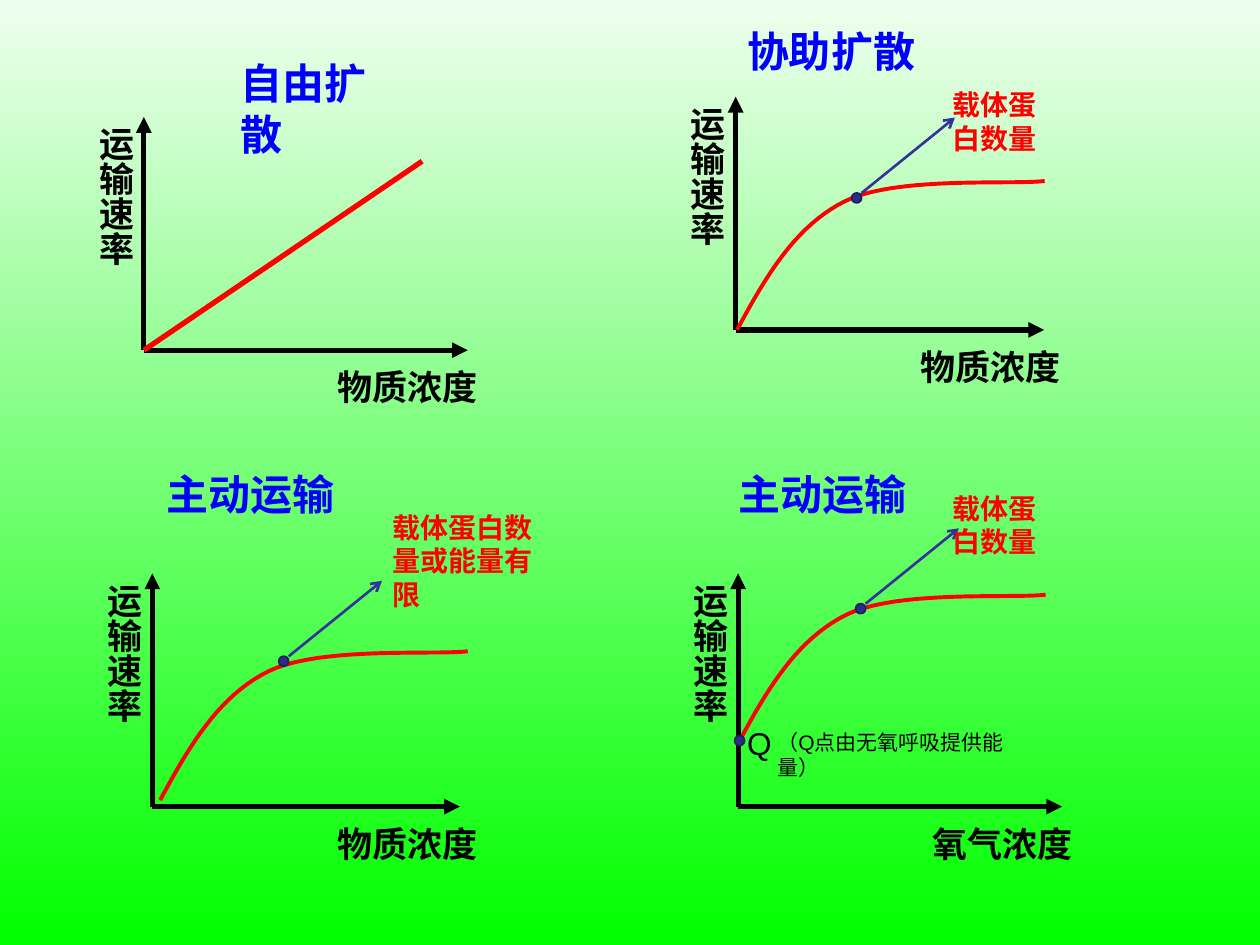
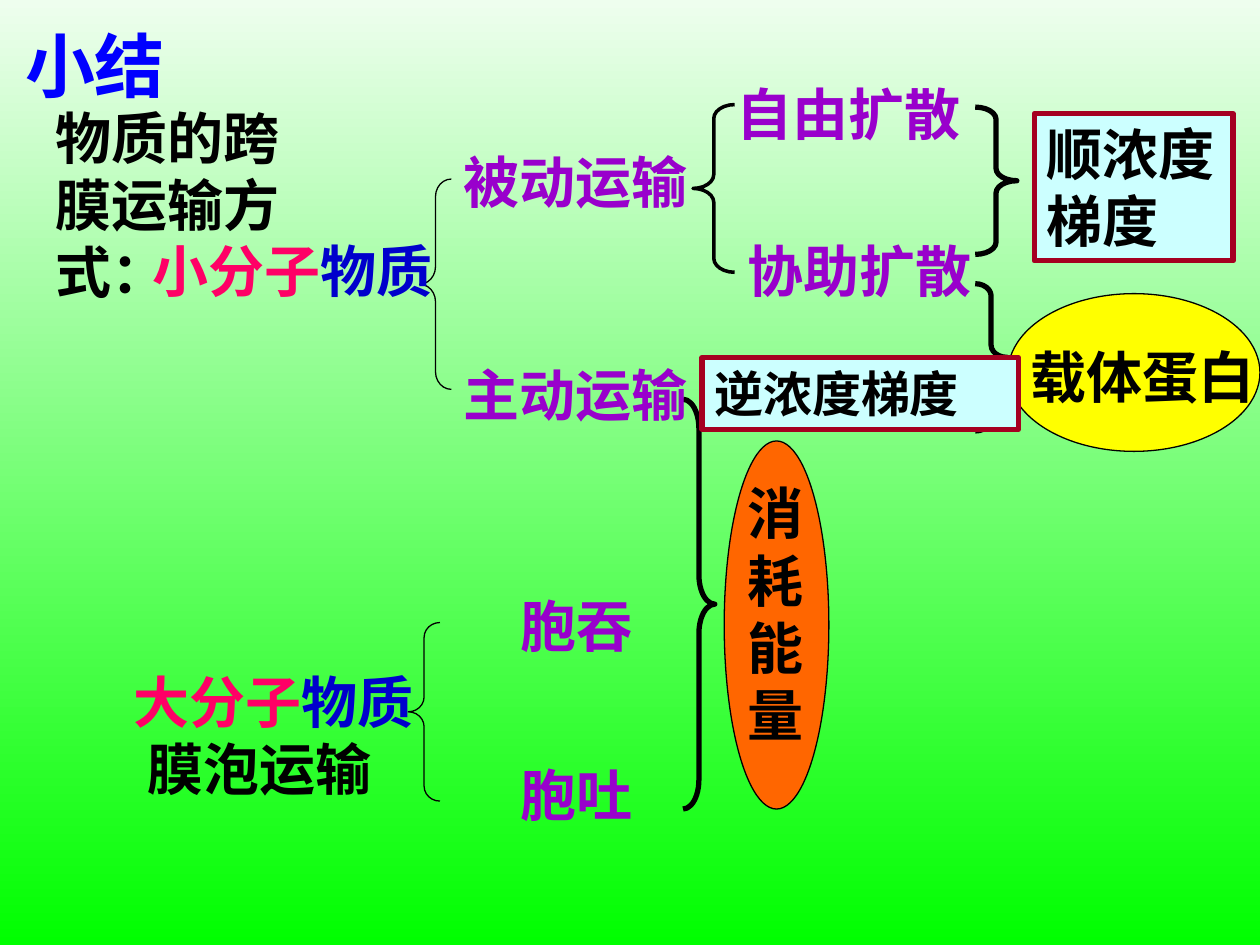
"""Builds two slides on membrane transport: rate graphs and a summary."""
from dataclasses import dataclass
from pptx import Presentation
from pptx.dml.color import RGBColor
from pptx.enum.shapes import MSO_CONNECTOR, MSO_SHAPE
from pptx.enum.text import MSO_ANCHOR, MSO_AUTO_SIZE, PP_ALIGN
from pptx.oxml.ns import qn
from pptx.util import Cm, Pt


@dataclass(frozen=True)
class Theme:
    sans: str = "Arial"
    serif: str = "Times New Roman"
    pale: str = "EEFEEE"
    green: str = "00FF00"
    black: str = "000000"
    blue: str = "0000FF"
    navy: str = "0000CC"
    red: str = "FF0000"
    pink: str = "FF0066"
    violet: str = "9900CC"
    indigo: str = "333399"
    dot: str = "2D2D89"
    rim: str = "1E1E63"
    orange: str = "FF6600"
    yellow: str = "FFFF00"
    cyan: str = "CCFFFF"
    wine: str = "A50021"
    banner: int = 40
    label: int = 32
    boxed: int = 28
    head: int = 24
    axis: int = 20
    note: int = 16
    mark: int = 18
    small: int = 12


theme = Theme()
rgb = RGBColor.from_string


def write(shape, parts, size, font=theme.sans, bold=True, wrap=True):
    frame = shape.text_frame
    frame.word_wrap = wrap
    frame.auto_size = MSO_AUTO_SIZE.SHAPE_TO_FIT_TEXT
    frame.vertical_anchor = MSO_ANCHOR.TOP
    para = frame.paragraphs[0]
    para.alignment = PP_ALIGN.LEFT
    para.font.name, para.font.size, para.font.bold = font, Pt(size), bold
    if len(parts) == 1:
        para.font.color.rgb = rgb(parts[0][1])
    for words, color in parts:
        run = para.add_run()
        run.text = words
        if len(parts) > 1:
            run.font.color.rgb = rgb(color)


def draw(slide, start, end, color, width, tip=None):
    line = slide.shapes.add_connector(
        MSO_CONNECTOR.STRAIGHT, *map(Cm, start), *map(Cm, end))
    line.line.color.rgb = rgb(color)
    line.line.width = Pt(width)
    props = line.element.spPr
    if tip:
        tail = props.find(qn("a:ln")).makeelement(qn("a:tailEnd"), {"type": tip})
        props.find(qn("a:ln")).append(tail)
    props.append(props.makeelement(qn("a:effectLst"), {}))


deck = Presentation()
deck.slide_width, deck.slide_height = Cm(25.4), Cm(19.05)
back = deck.slide_master.background.fill
back.gradient()
back.gradient_angle = 270
for stop, color in zip(back.gradient_stops, (theme.pale, theme.green)):
    stop.color.rgb = rgb(color)
graphs, recap = [deck.slides.add_slide(deck.slide_layouts[5]) for _ in range(2)]

plots = [
    ("自由扩散", (4.6, 1.04), (2.9, 7.06), 6.53, "物质浓度", 6.55),
    ("协助扩散", (14.81, 0.38), (14.83, 6.65), 6.22, "物质浓度", 18.31),
    ("主动运输", (3.1, 9.32), (3.07, 16.26), 6.2, "物质浓度", 6.55),
    ("主动运输", (14.63, 9.32), (14.88, 16.26), 6.53, "氧气浓度", 18.54),
]
for name, place, (x, y), width, unit, left in plots:
    draw(graphs, (x, y), (x, y - 4.7), theme.black, 3, "triangle")
    draw(graphs, (x, y), (x + width, y), theme.black, 3, "triangle")
    rate = graphs.shapes.add_textbox(Cm(x - 1.37), Cm(y - 4.75), Cm(1.35), Cm(3.1))
    write(rate, [("运输速率", theme.black)], theme.axis, wrap=False)
    rate.element.txBody.bodyPr.set("vert", "eaVert")
    frame = rate.text_frame
    frame.margin_left = frame.margin_right = Cm(0.13)
    frame.margin_top = frame.margin_bottom = Cm(0.25)
    base = graphs.shapes.add_textbox(Cm(left), Cm(y + 0.19), Cm(3.33), Cm(1.12))
    write(base, [(unit, theme.black)], theme.axis, wrap=False)
    if name == "自由扩散":
        head = graphs.shapes.title
        head.left, head.top, head.width, head.height = map(Cm, (*place, 3.89, 1.27))
    else:
        head = graphs.shapes.add_textbox(*map(Cm, (*place, 3.89, 1.27)))
    write(head, [(name, theme.blue)], theme.head, wrap=False)

draw(graphs, (2.9, 7.06), (8.51, 3.25), theme.red, 3)

bends = [
    ((0, 0), (0.57, -1.06), (1.17, -2.1), (2.19, -2.6)),
    ((2.19, -2.6), (3.22, -3.1), (5.52, -2.92), (6.2, -3)),
]
steps = 20
trace = []
for bend in bends:
    for step in range(1, steps + 1):
        t = step / steps
        weights = ((1 - t) ** 3, 3 * t * (1 - t) ** 2, 3 * t * t * (1 - t), t ** 3)
        trace.append([sum(w * p[axis] for w, p in zip(weights, bend)) for axis in (0, 1)])

curves = [
    ((14.86, 6.65), (17.37, 3.89), "载体蛋白数量", (18.95, 1.65, 2.72, 1.63)),
    ((3.23, 16.13), (5.82, 13.23), "载体蛋白数量或能量有限", (7.67, 10.16, 3.68, 2.29)),
    ((14.88, 14.99), (17.45, 12.17), "载体蛋白数量", (18.95, 9.78, 2.44, 1.63)),
]
dots = [(14.81, 14.83)]
for (x, y), (tipx, tipy), words, area in curves:
    path = graphs.shapes.build_freeform(Cm(x), Cm(y))
    path.add_line_segments([(Cm(x + dx), Cm(y + dy)) for dx, dy in trace], close=False)
    curve = path.convert_to_shape()
    curve.shadow.inherit = False
    curve.fill.background()
    curve.line.color.rgb = rgb(theme.red)
    curve.line.width = Pt(2.25)
    draw(graphs, (tipx, tipy), (tipx + 1.88, tipy - 1.52), theme.indigo, 1.5, "arrow")
    write(graphs.shapes.add_textbox(*map(Cm, area)), [(words, theme.red)], theme.note)
    dots.append((tipx - 0.2, tipy))

for words, size, area in [
    ("（Q点由无氧呼吸提供能量）", theme.small, (15.42, 14.58, 5.64, 1.27)),
    ("Q", theme.mark, (14.81, 14.48, 1.09, 1.02)),
]:
    box = graphs.shapes.add_textbox(*map(Cm, area))
    write(box, [(words, theme.black)], size, bold=False)

for x, y in dots:
    dot = graphs.shapes.add_shape(MSO_SHAPE.OVAL, Cm(x), Cm(y), Cm(0.2), Cm(0.2))
    dot.shadow.inherit = False
    dot.fill.solid()
    dot.fill.fore_color.rgb = rgb(theme.dot)
    dot.line.color.rgb = rgb(theme.rim)
    dot.line.width = Pt(1)

title = recap.shapes.title
title.left, title.top, title.width, title.height = map(Cm, (0.25, 0.33, 3.33, 1.96))
write(title, [("小结", theme.blue)], theme.banner, wrap=False)

braces = [
    (MSO_SHAPE.LEFT_BRACE, (13.97, 2.11, 0.84, 3.38), 2),
    (MSO_SHAPE.LEFT_BRACE, (8.46, 3.61, 0.64, 4.24), 0.75),
    (MSO_SHAPE.LEFT_BRACE, (8.23, 12.55, 0.64, 3.6), 0.75),
    (MSO_SHAPE.RIGHT_BRACE, (13.77, 8.05, 0.64, 8.26), 3),
    (MSO_SHAPE.RIGHT_BRACE, (19.66, 2.16, 0.84, 2.97), 3),
    (MSO_SHAPE.RIGHT_BRACE, (19.66, 5.72, 0.64, 2.97), 3),
]
for kind, area, width in braces:
    brace = recap.shapes.add_shape(kind, *map(Cm, area))
    brace.adjustments[0] = min(area[3] / 12 / area[2], 0.92)
    brace.shadow.inherit = False
    brace.fill.background()
    brace.line.color.rgb = rgb(theme.black)
    brace.line.width = Pt(width)

panels = [
    (MSO_SHAPE.OVAL, (14.6, 8.89, 2.11, 7.42), theme.orange, theme.black, 0.75, "", 0),
    (MSO_SHAPE.OVAL, (20.32, 5.92, 5.08, 3.18), theme.yellow, theme.black, 0.75, "", 0),
    (MSO_SHAPE.RECTANGLE, (20.85, 2.29, 4.01, 2.97), theme.cyan, theme.wine, 3,
     "顺浓度梯度", theme.label),
    (MSO_SHAPE.RECTANGLE, (14.15, 7.21, 6.38, 1.45), theme.cyan, theme.wine, 3,
     "逆浓度梯度", theme.boxed),
]
for kind, area, fill, edge, width, words, size in panels:
    panel = recap.shapes.add_shape(kind, *map(Cm, area))
    panel.shadow.inherit = False
    panel.fill.solid()
    panel.fill.fore_color.rgb = rgb(fill)
    panel.line.color.rgb = rgb(edge)
    panel.line.width = Pt(width)
    if words:
        write(panel, [(words, theme.black)], size, theme.serif)

labels = [
    ((14.6, 1.47, 6.35, 1.63), [("自由扩散", theme.violet)]),
    ((14.81, 4.65, 6.15, 1.63), [("协助扩散", theme.violet)]),
    ((9.09, 2.84, 5.51, 1.63), [("被动运输", theme.violet)]),
    ((9.09, 7.14, 5.92, 1.63), [("主动运输", theme.violet)]),
    ((10.24, 11.79, 4.24, 1.63), [("胞吞", theme.violet)]),
    ((10.24, 15.21, 3.38, 1.63), [("胞吐", theme.violet)]),
    ((0.86, 1.96, 5.18, 4.32), [("物质的跨膜运输方式：", theme.black)]),
    ((2.82, 4.65, 6.5, 1.63), [("小分子", theme.pink), ("物质", theme.navy)]),
    ((2.44, 13.34, 8.61, 1.63), [("大分子", theme.pink), ("物质", theme.navy)]),
    ((2.72, 14.69, 8.33, 1.63), [("膜泡运输", theme.black)]),
    ((14.81, 9.53, 2.54, 5.69), [("消耗能量", theme.black)]),
    ((20.52, 6.78, 5.92, 1.63), [("载体蛋白", theme.black)]),
]
for area, parts in labels:
    write(recap.shapes.add_textbox(*map(Cm, area)), parts, theme.label, theme.serif)

deck.save("out.pptx")
